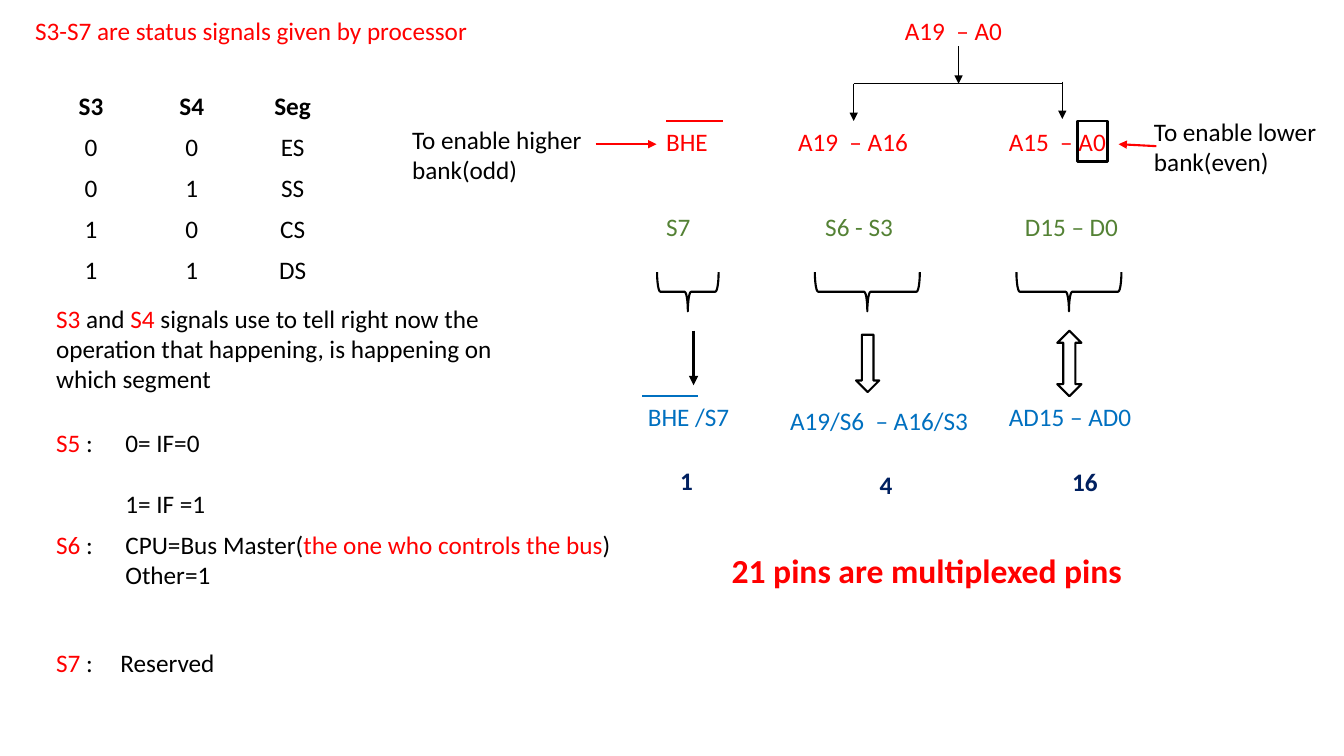
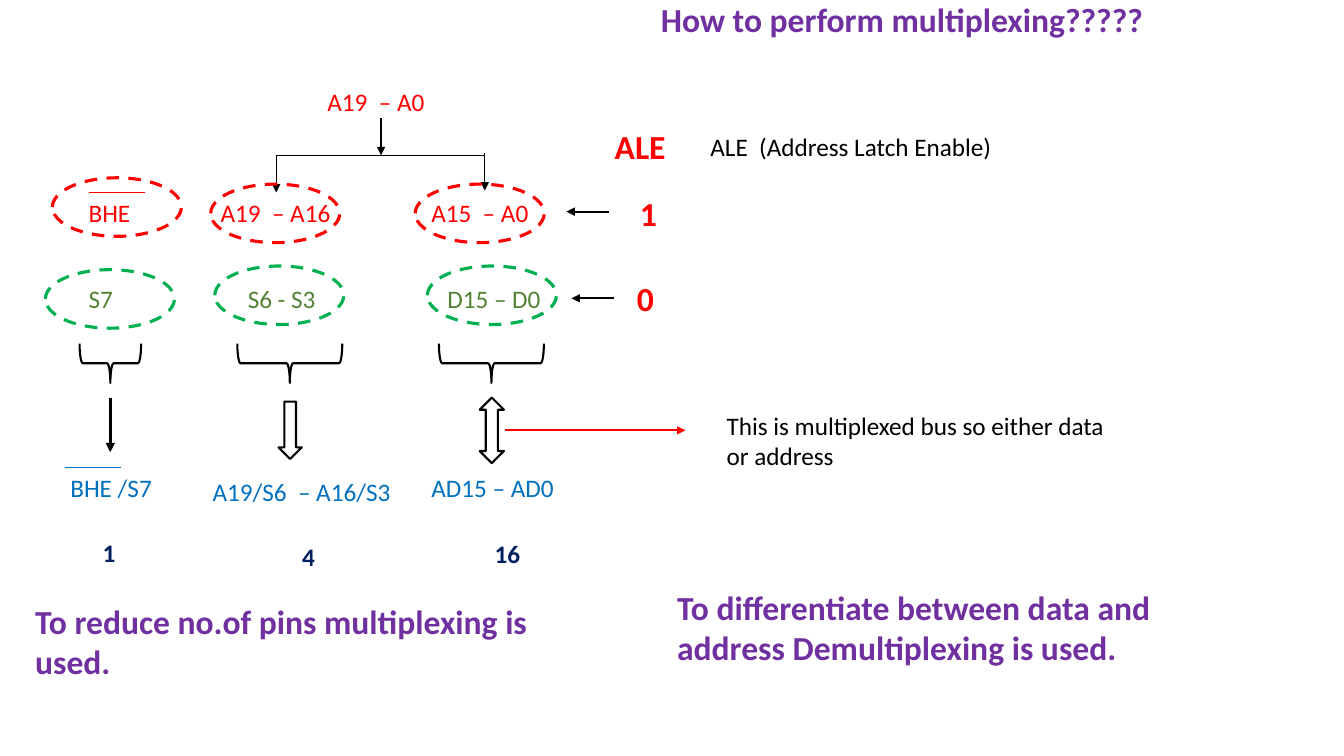
from dataclasses import dataclass

import pptx
import pptx.dml.color
import pptx.enum.dml
import pptx.enum.shapes
import pptx.enum.text
import pptx.oxml
import pptx.oxml.ns
import pptx.shapes.autoshape
import pptx.slide
import pptx.text.text
import pptx.util

Pt = pptx.util.Pt
Shape = pptx.enum.shapes.MSO_SHAPE


@dataclass(frozen=True)
class Theme:
    font: str = "Calibri"
    body: float = 18
    heading: float = 24
    black: str = "000000"
    red: str = "FF0000"
    green: str = "548235"
    blue: str = "0070C0"
    navy: str = "002060"
    purple: str = "7030A0"
    ring_green: str = "00B050"
    thin: float = 1
    medium: float = 1.5
    frame: float = 2
    thick: float = 2.25


THEME = Theme()


@dataclass(frozen=True)
class Run:
    text: str
    color: str = THEME.black
    bold: bool = False
    size: float = THEME.body


@dataclass(frozen=True)
class Paragraph:
    runs: tuple[Run, ...]
    margin: float = 0
    hanging: bool = False
    space_before: float = 0


@dataclass(frozen=True)
class Label:
    left: float
    top: float
    width: float
    paragraphs: tuple[Paragraph, ...]
    height: float = 29


@dataclass(frozen=True)
class Line:
    start: tuple[float, float]
    end: tuple[float, float]
    color: str = THEME.black
    weight: float = THEME.thin
    arrow: bool = True


@dataclass(frozen=True)
class Outline:
    kind: Shape
    left: float
    top: float
    width: float
    height: float
    color: str = THEME.black
    weight: float = THEME.medium
    rotation: float = 0
    dashed: bool = False


@dataclass(frozen=True)
class Placement:
    left: float
    top: float
    arrow_top: float
    bus_arrow_left: float


def plain(left: float, top: float, width: float, text: str, color: str = THEME.black,
          bold: bool = False, size: float = THEME.body, height: float = 29) -> Label:
    return Label(left, top, width, (Paragraph((Run(text, color, bold, size),)),), height)


def heading(left: float, top: float, width: float, text: str, color: str,
            height: float = 36) -> Label:
    return plain(left, top, width, text, color, True, THEME.heading, height)


def add_run(paragraph: pptx.text.text._Paragraph, content: Run) -> None:
    run = paragraph.add_run()
    run.text = content.text
    run.font.name = THEME.font
    run.font.size = Pt(content.size)
    run.font.bold = content.bold
    run.font.color.rgb = pptx.dml.color.RGBColor.from_string(content.color)


def add_label(slide: pptx.slide.Slide, label: Label) -> None:
    box = slide.shapes.add_textbox(Pt(label.left), Pt(label.top), Pt(label.width), Pt(label.height))
    frame = box.text_frame
    frame.word_wrap = True
    for index, content in enumerate(label.paragraphs):
        paragraph = frame.add_paragraph() if index else frame.paragraphs[0]
        paragraph.space_before = Pt(content.space_before)
        if content.margin:
            properties = paragraph._p.get_or_add_pPr()
            properties.set("marL", str(Pt(content.margin)))
            properties.set("indent", str(-Pt(content.margin) if content.hanging else 0))
        for run in content.runs:
            add_run(paragraph, run)


def add_line(slide: pptx.slide.Slide, line: Line) -> None:
    connector = slide.shapes.add_connector(
        pptx.enum.shapes.MSO_CONNECTOR.STRAIGHT, *(Pt(value) for value in line.start + line.end))
    connector.line.color.rgb = pptx.dml.color.RGBColor.from_string(line.color)
    connector.line.width = Pt(line.weight)
    properties = connector.element.spPr
    if line.arrow:
        tail = pptx.oxml.parse_xml(f'<a:tailEnd {pptx.oxml.ns.nsdecls("a")} type="triangle"/>')
        properties.find(pptx.oxml.ns.qn("a:ln")).append(tail)
    properties.append(pptx.oxml.parse_xml(f'<a:effectLst {pptx.oxml.ns.nsdecls("a")}/>'))


def add_outline(slide: pptx.slide.Slide, outline: Outline) -> None:
    shape = slide.shapes.add_shape(outline.kind, Pt(outline.left), Pt(outline.top),
                                   Pt(outline.width), Pt(outline.height))
    shape.shadow.inherit = False
    shape.fill.background()
    shape.line.color.rgb = pptx.dml.color.RGBColor.from_string(outline.color)
    shape.line.width = Pt(outline.weight)
    shape.rotation = outline.rotation
    if outline.dashed:
        shape.line.dash_style = pptx.enum.dml.MSO_LINE.DASH


def add_segment_table(slide: pptx.slide.Slide) -> None:
    rows = (("S3", "S4", "Seg"), ("0", "0", "ES"), ("0", "1", "SS"),
            ("1", "0", "CS"), ("1", "1", "DS"))
    row_height = 29.3
    table = slide.shapes.add_table(len(rows), 3, Pt(29), Pt(62), Pt(216),
                                   Pt(row_height * len(rows))).table
    table.first_row = False
    table.horz_banding = False
    for row_index, row in enumerate(rows):
        for column_index, text in enumerate(row):
            cell = table.cell(row_index, column_index)
            cell.fill.background()
            paragraph = cell.text_frame.paragraphs[0]
            paragraph.alignment = pptx.enum.text.PP_ALIGN.CENTER
            add_run(paragraph, Run(text, bold=row_index == 0))


def add_pin_diagram(slide: pptx.slide.Slide, placement: Placement) -> None:
    labels = (
        (226.8, 7.2, 94, "A19  – A0", THEME.red),
        (56.2, 86.4, 94, "BHE", THEME.red),
        (150.5, 86.4, 94, "A19  – A16", THEME.red),
        (301, 86.4, 94, "A15  – A0", THEME.red),
        (56.2, 147.6, 94, "S7", THEME.green),
        (169.9, 147.6, 94, "S6 - S3", THEME.green),
        (312.5, 147.6, 94, "D15 – D0", THEME.green),
        (43.2, 283, 94, "BHE /S7", THEME.blue),
        (144.7, 285.8, 162, "A19/S6  – A16/S3", THEME.blue),
        (301, 283, 162, "AD15 – AD0", THEME.blue),
        (66.2, 329, 33, "1", THEME.navy),
        (208.8, 331.9, 33, "4", THEME.navy),
        (346.3, 329.8, 33, "16", THEME.navy),
    )
    for left, top, width, text, color in labels:
        add_label(slide, plain(placement.left + left, placement.top + top, width, text, color,
                               bold=color == THEME.navy))

    lines = (
        Line((272.2, 33.1), (272.2, 59.8)),
        Line((197.3, 59.8), (346.3, 59.8), arrow=False),
        Line((197.3, 59.8), (197.3, 86.4)),
        Line((346.3, 58.3), (346.3, 85)),
        Line((63.4, 86.4), (103.7, 86.4), THEME.red, arrow=False),
        Line((46.1, 283), (86.4, 283), THEME.blue, arrow=False),
    )
    for line in lines:
        start, end = ((placement.left + x, placement.top + y) for x, y in (line.start, line.end))
        add_line(slide, Line(start, end, line.color, line.weight, line.arrow))

    depth = 28
    for center, span in ((78.8, 44), (207, 75), (351, 75)):
        add_outline(slide, Outline(Shape.RIGHT_BRACE, placement.left + center - depth / 2,
                                   placement.top + 208.4 - span / 2, depth, span, rotation=90))

    bus_left = placement.left + placement.bus_arrow_left
    add_line(slide, Line((bus_left, placement.arrow_top), (bus_left, placement.arrow_top + 39),
                         weight=THEME.thick))
    add_outline(slide, Outline(Shape.DOWN_ARROW, placement.left + 199, placement.arrow_top + 2.9,
                               16.6, 41))
    add_outline(slide, Outline(Shape.UP_DOWN_ARROW, placement.left + 342.7, placement.arrow_top,
                               17.3, 46.8))


def build_status_slide(slide: pptx.slide.Slide) -> None:
    add_pin_diagram(slide, Placement(412.5, 0, 236.2, 82.9))
    add_segment_table(slide)
    add_outline(slide, Outline(Shape.RECTANGLE, 769.7, 86.4, 21.6, 28.8, weight=THEME.frame))
    add_line(slide, Line((425.5, 103), (469, 103), THEME.red, THEME.medium))
    add_line(slide, Line((826, 104.4), (799, 103), THEME.red, THEME.medium))

    notes_left = 33
    indent = 49.5
    labels = (
        plain(18, 7.2, 478, "S3-S7 are status signals given by processor", THEME.red),
        plain(287.3, 85, 142.6, "To enable higher bank(odd)", height=51),
        plain(817.2, 79.2, 142.6, "To enable lower bank(even)", height=51),
        heading(515.5, 389.5, 350, "21 pins are multiplexed pins", THEME.red),
        Label(notes_left, 213, 368, (Paragraph((
            Run("S3", THEME.red), Run(" and "), Run("S4", THEME.red),
            Run(" signals use to tell right now the operation that happening, "
                "is happening on which segment"))),), 73),
        Label(notes_left, 301.7, 127, (
            Paragraph((Run("S5", THEME.red), Run(" :\t0= IF=0")), indent, True),
            Paragraph((Run("1= IF =1"),), indent, space_before=22)), 73),
        Label(notes_left, 374.4, 492, (
            Paragraph((Run("S6", THEME.red), Run(" :\tCPU=Bus Master("),
                       Run("the one who controls the bus", THEME.red), Run(")")), indent, True),
            Paragraph((Run("Other=1"),), indent)), 51),
        Label(notes_left, 458.6, 141, (
            Paragraph((Run("S7", THEME.red), Run(" :\tReserved")), 46, True),)),
    )
    for label in labels:
        add_label(slide, label)


def build_multiplexing_slide(slide: pptx.slide.Slide) -> None:
    add_pin_diagram(slide, Placement(0, 51.1, 284, 78.8))
    rings = (
        (37.4, 127, THEME.red), (150.5, 131.5, THEME.red), (296.6, 131.5, THEME.red),
        (32.4, 192.6, THEME.ring_green), (153.4, 190, THEME.ring_green),
        (305.3, 190, THEME.ring_green),
    )
    for left, top, color in rings:
        add_outline(slide, Outline(Shape.OVAL, left, top, 92.2, 41.8, color, THEME.thick,
                                   dashed=True))

    lines = (
        Line((435, 151.2), (404.6, 151.2), weight=THEME.medium),
        Line((438.5, 213.1), (408.2, 213.1), weight=THEME.medium),
        Line((360.7, 307.4), (489.6, 307.4), THEME.red, THEME.medium),
    )
    for line in lines:
        add_line(slide, line)

    labels = (
        heading(465, -4.3, 386, "How to perform multiplexing?????", THEME.purple),
        heading(432, 86.4, 64, "ALE", THEME.red),
        heading(450, 134.6, 31, "1", THEME.red),
        heading(447.8, 195.1, 31, "0", THEME.red),
        plain(500.4, 90, 230, "ALE  (Address Latch Enable)"),
        plain(511.9, 289.4, 291.6, "This is multiplexed bus so either data or address", height=51),
        heading(18, 425.5, 420, "To reduce no.of pins multiplexing is used.", THEME.purple, 65),
        heading(476.6, 415.4, 420,
                "To differentiate between data and address Demultiplexing is used.",
                THEME.purple, 65),
    )
    for label in labels:
        add_label(slide, label)


def main() -> None:
    presentation = pptx.Presentation()
    presentation.slide_width = Pt(960)
    presentation.slide_height = Pt(540)
    blank = presentation.slide_layouts[6]
    for build in (build_status_slide, build_multiplexing_slide):
        build(presentation.slides.add_slide(blank))
    presentation.save("out.pptx")


if __name__ == "__main__":
    main()
